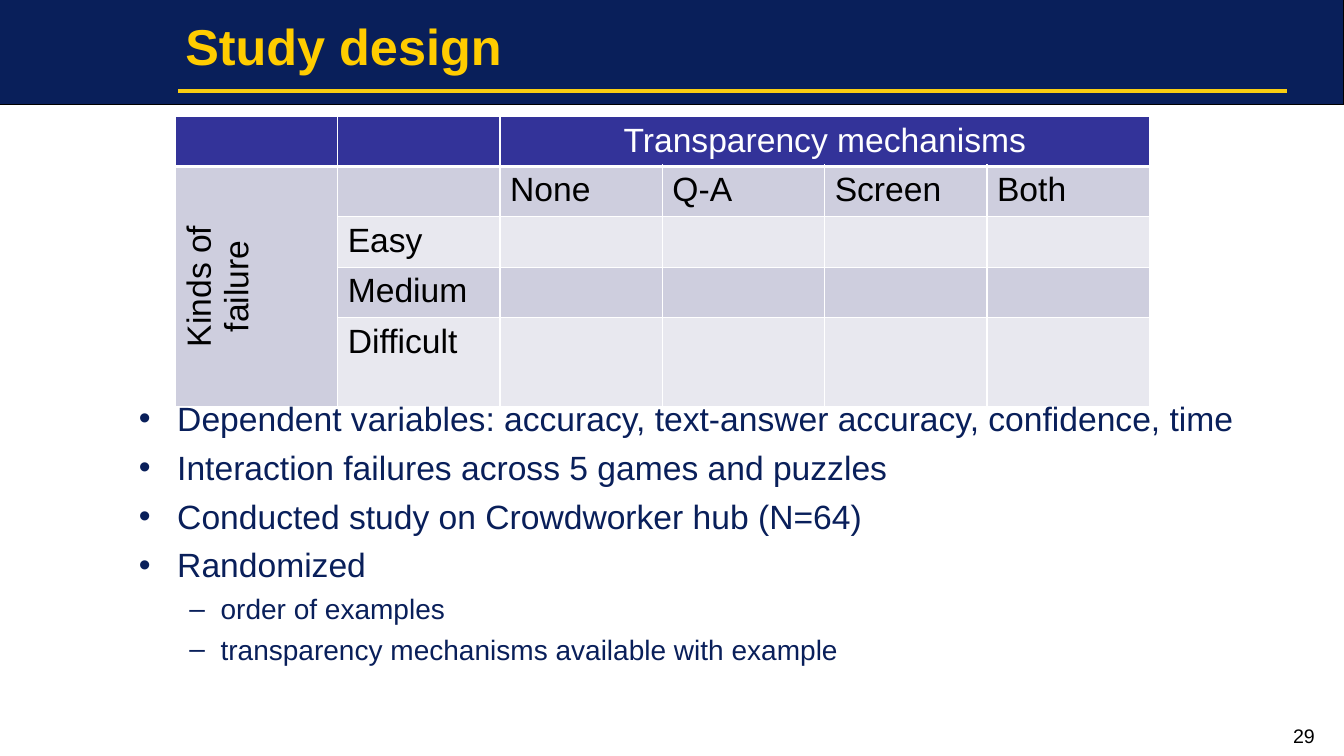
from lxml import etree
from pptx import Presentation
from pptx.dml.color import RGBColor
from pptx.enum.shapes import MSO_CONNECTOR, MSO_SHAPE
from pptx.enum.text import MSO_ANCHOR, PP_ALIGN
from pptx.oxml.ns import qn
from pptx.util import Inches, Pt

LEFT, CENTER, RIGHT = PP_ALIGN.LEFT, PP_ALIGN.CENTER, PP_ALIGN.RIGHT
TOP, MIDDLE = MSO_ANCHOR.TOP, MSO_ANCHOR.MIDDLE
RECTANGLE, STRAIGHT = MSO_SHAPE.RECTANGLE, MSO_CONNECTOR.STRAIGHT

COLORS = {
    "navy": "091F5A", "gold": "F9CD11", "title": "FFCC00", "black": "000000",
    "white": "FFFFFF", "header": "333399", "dark band": "CECEDE", "light band": "E8E8EF",
}

# Bullet levels: mark, left margin, first-line indent, text size, space before
BULLETS = [("•", 0.38, -0.38, 24, 6), ("–", 0.81, -0.31, 20, 5)]

POINTS = [
    (0, "Dependent variables: accuracy, text-answer accuracy, confidence, time"),
    (0, "Interaction failures across 5 games and puzzles"),
    (0, "Conducted study on Crowdworker hub (N=64)"),
    (0, "Randomized"),
    (1, "order of examples"),
    (1, "transparency mechanisms available with example"),
]

DESIGN = [
    ["", "", "Transparency mechanisms", "", "", ""],
    ["Kinds of failure", "", "None", "Q-A", "Screen", "Both"],
    ["", "Easy", "", "", "", ""],
    ["", "Medium", "", "", "", ""],
    ["", "Difficult", "", "", "", ""],
]


def color(name):
    return RGBColor.from_string(COLORS[name])


class SlideBuilder:
    font = "Arial"

    def __init__(self, page):
        self.page = page

    def add_span(self, para, text, shade, **formats):
        span = para.add_run()
        span.text = text
        span.font.color.rgb = color(shade)
        for name, value in {"name": self.font, **formats}.items():
            setattr(span.font, name, value)

    def band(self, left, top, width, height, fill, line):
        box = self.page.shapes.add_shape(
            RECTANGLE, Inches(left), Inches(top), Inches(width), Inches(height))
        box.shadow.inherit = False
        box.fill.solid()
        box.fill.fore_color.rgb = color(fill)
        box.line.color.rgb = color(line)
        box.line.width = Pt(0.75)

    def rule(self, left, right, y, shade, width):
        line = self.page.shapes.add_connector(
            STRAIGHT, Inches(left), Inches(y), Inches(right), Inches(y))
        line.line.color.rgb = color(shade)
        line.line.width = Pt(width)
        etree.SubElement(line._element.spPr, qn("a:effectLst"))

    def frame(self, left, top, width, height, anchor=TOP, wrap=True):
        box = self.page.shapes.add_textbox(
            Inches(left), Inches(top), Inches(width), Inches(height))
        box.text_frame.word_wrap = wrap
        box.text_frame.vertical_anchor = anchor
        return box.text_frame

    def label(self, text, place, shade, align=LEFT, anchor=TOP, wrap=True, spacing=1.0, **formats):
        para = self.frame(*place, anchor, wrap).paragraphs[0]
        para.alignment = align
        para.line_spacing = spacing
        self.add_span(para, text, shade, **formats)

    def bullets(self, points, place, shade):
        frame = self.frame(*place)
        for index, (level, text) in enumerate(points):
            mark, margin, indent, size, space = BULLETS[level]
            para = frame.paragraphs[0] if index == 0 else frame.add_paragraph()
            para.level = level
            para.space_before = Pt(space if index else 0)
            properties = para._p.get_or_add_pPr()
            properties.set("marL", str(Inches(margin)))
            properties.set("indent", str(Inches(indent)))
            etree.SubElement(properties, qn("a:buFont"), typeface=self.font)
            etree.SubElement(properties, qn("a:buChar"), char=mark)
            self.add_span(para, text, shade, size=Pt(size))

    def borders(self, cell, bottom):
        properties = cell._tc.get_or_add_tcPr()
        for side, width in (("L", 1), ("R", 1), ("T", 1), ("B", bottom)):
            line = etree.SubElement(properties, qn(f"a:ln{side}"), w=str(Pt(width)))
            fill = etree.SubElement(line, qn("a:solidFill"))
            etree.SubElement(fill, qn("a:srgbClr"), val=COLORS["white"])

    def design_table(self, rows, left, top, column_width, row_heights):
        table = self.page.shapes.add_table(
            len(rows), len(rows[0]), Inches(left), Inches(top),
            Inches(column_width * len(rows[0])), Inches(sum(row_heights))).table
        for column in table.columns:
            column.width = Inches(column_width)
        for r, (texts, height) in enumerate(zip(rows, row_heights)):
            table.rows[r].height = Inches(height)
            band = "header" if r == 0 else "dark band" if r % 2 else "light band"
            for c, text in enumerate(texts):
                cell = table.cell(r, c)
                self.borders(cell, bottom=3 if r == 0 else 1)
                cell.fill.solid()
                cell.fill.fore_color.rgb = color(band)
                if text:
                    shade = "white" if r == 0 else "black"
                    self.add_span(cell.text_frame.paragraphs[0], text, shade, size=Pt(24))

        # Heading across the columns, and sideways heading down the rows
        mechanisms, failures = table.cell(0, 2), table.cell(1, 0)
        mechanisms.merge(table.cell(0, len(rows[0]) - 1))
        failures.merge(table.cell(len(rows) - 1, 0))
        for heading in (mechanisms, failures):
            heading.vertical_anchor = MIDDLE
            heading.text_frame.paragraphs[0].alignment = CENTER
        failures._tc.get_or_add_tcPr().set("vert", "vert270")


def main():
    deck = Presentation()
    deck.slide_width, deck.slide_height = Inches(13.33), Inches(7.5)
    builder = SlideBuilder(deck.slides.add_slide(deck.slide_layouts[6]))

    # Title band
    builder.band(0, 0, 13.33, 1.04, "navy", "black")
    builder.rule(1.77, 12.76, 0.9, "gold", 3)
    builder.label("Study design", (1.74, 0, 10.98, 0.9), "title",
                  anchor=MIDDLE, wrap=False, size=Pt(36), bold=True)

    # Study conditions
    builder.design_table(DESIGN, 1.74, 1.15, 1.61, [0.47] * 4 + [0.88])

    # Details and page number
    builder.bullets(POINTS, (1.28, 3.9, 11.46, 3.21), "navy")
    builder.label("29", (11.56, 7.18, 1.58, 0.29), "black",
                  align=RIGHT, spacing=0.8, size=Pt(14))

    deck.save("out.pptx")


if __name__ == "__main__":
    main()
